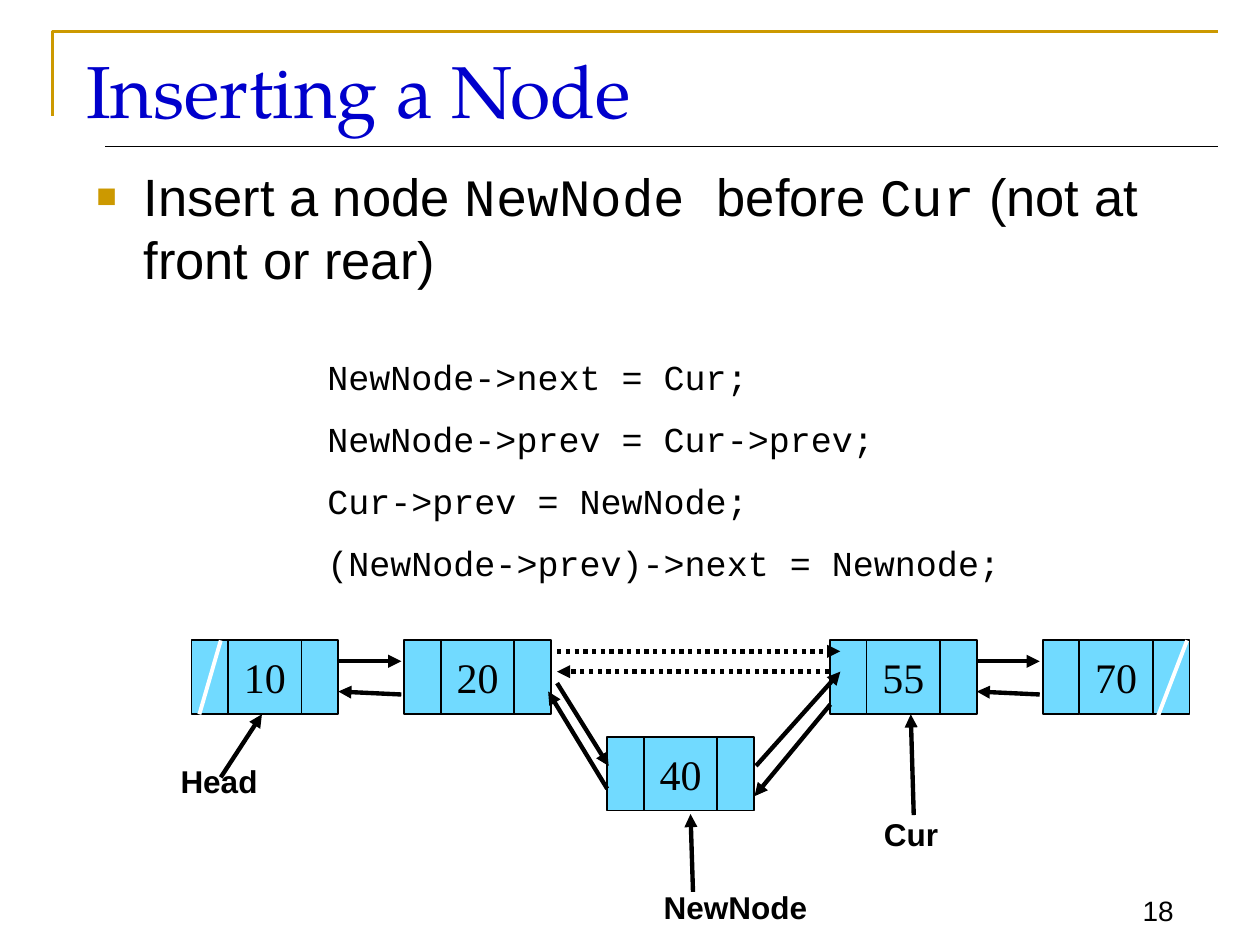
from dataclasses import dataclass

from lxml.etree import SubElement
from pptx import Presentation
from pptx.dml.color import RGBColor
from pptx.enum.dml import MSO_LINE
from pptx.enum.shapes import MSO_CONNECTOR, MSO_SHAPE
from pptx.enum.text import MSO_ANCHOR, MSO_AUTO_SIZE, PP_ALIGN
from pptx.oxml.ns import qn
from pptx.util import Cm, Pt


@dataclass(frozen=True)
class Theme:
    ink: str = "000000"
    title: str = "0000CC"
    accent: str = "CC9900"
    node: str = "71DAFF"
    slash: str = "FFFFFF"
    sans: str = "Arial"
    serif: str = "Times New Roman"
    display: str = "TeX Gyre Pagella"
    mono: str = "Courier New"
    title_size: float = 42
    body_size: float = 30
    value_size: float = 24
    code_size: float = 20
    label_size: float = 18
    number_size: float = 16


def add_span(para, text, *, font, size, color, bold=False):
    span = para.add_run()
    span.text = text
    span.font.name = font
    span.font.size = Pt(size)
    span.font.bold = bold
    span.font.color.rgb = RGBColor.from_string(color)


class SlideBuilder:
    def __init__(self, slide, theme):
        self.slide = slide
        self.shapes = slide.shapes
        self.theme = theme

    def place(self, box, left, top, width, height, anchor, wrap=True):
        box.left, box.top, box.width, box.height = map(Cm, (left, top, width, height))
        frame = box.text_frame
        frame.auto_size = MSO_AUTO_SIZE.NONE
        frame.word_wrap = wrap
        frame.vertical_anchor = anchor
        return frame

    def title(self, text, *area):
        frame = self.place(self.shapes.title, *area, MSO_ANCHOR.MIDDLE)
        para = frame.paragraphs[0]
        para.alignment = PP_ALIGN.LEFT
        add_span(para, text, font=self.theme.display,
                 size=self.theme.title_size, color=self.theme.title)

    def bullet(self, spans, *area):
        frame = self.place(self.slide.placeholders[1], *area, MSO_ANCHOR.TOP)
        para = frame.paragraphs[0]
        para.space_before = Pt(self.theme.body_size * 0.2)
        for text, font in spans:
            add_span(para, text, font=font,
                     size=self.theme.body_size, color=self.theme.ink)
        properties = para._p.get_or_add_pPr()
        properties.set("marL", str(Cm(0.95)))
        properties.set("indent", str(-Cm(0.95)))
        color = SubElement(properties, qn("a:buClr"))
        SubElement(color, qn("a:srgbClr")).set("val", self.theme.accent)
        SubElement(properties, qn("a:buSzPct")).set("val", "65000")
        SubElement(properties, qn("a:buFont")).set("typeface", self.theme.sans)
        SubElement(properties, qn("a:buChar")).set("char", "■")

    def text(self, lines, *area, font, size, bold=False, gap=0, wrap=True,
             align=PP_ALIGN.LEFT, anchor=MSO_ANCHOR.MIDDLE):
        box = self.shapes.add_textbox(0, 0, 0, 0)
        frame = self.place(box, *area, anchor, wrap)
        for index, line in enumerate(lines):
            para = frame.add_paragraph() if index else frame.paragraphs[0]
            para.alignment = align
            para.space_before = Pt(gap if index else 0)
            add_span(para, line, font=font, size=size,
                     color=self.theme.ink, bold=bold)

    def node(self, value, left, top, side):
        group = self.shapes.add_group_shape()
        half = side / 2
        cells = ((half, side, value), (0, half, ""), (half + side, half, ""))
        for offset, width, text in cells:
            cell = group.shapes.add_shape(
                MSO_SHAPE.RECTANGLE, Cm(left + offset), Cm(top), Cm(width), Cm(side))
            cell.shadow.inherit = False
            cell.fill.solid()
            cell.fill.fore_color.rgb = RGBColor.from_string(self.theme.node)
            cell.line.color.rgb = RGBColor.from_string(self.theme.ink)
            cell.line.width = Pt(1)
            if text:
                frame = cell.text_frame
                frame.word_wrap = False
                frame.vertical_anchor = MSO_ANCHOR.MIDDLE
                para = frame.paragraphs[0]
                para.alignment = PP_ALIGN.CENTER
                add_span(para, text, font=self.theme.serif,
                         size=self.theme.value_size, color=self.theme.ink)

    def line(self, start, end, color, width):
        line = self.shapes.add_connector(
            MSO_CONNECTOR.STRAIGHT, *map(Cm, (*start, *end)))
        line.line.color.rgb = RGBColor.from_string(color)
        line.line.width = Pt(width)
        SubElement(line._element.spPr, qn("a:effectLst"))
        return line

    def arrow(self, start, end, dotted=False):
        arrow = self.line(start, end, self.theme.ink, 2.5)
        if dotted:
            arrow.line.dash_style = MSO_LINE.ROUND_DOT
        SubElement(arrow.line._get_or_add_ln(), qn("a:tailEnd")).set("type", "triangle")

    def corner(self, points):
        first, *rest = [(Cm(x), Cm(y)) for x, y in points]
        builder = self.shapes.build_freeform(*first)
        builder.add_line_segments(rest, close=False)
        frame = builder.convert_to_shape()
        frame.shadow.inherit = False
        frame.fill.background()
        frame.line.color.rgb = RGBColor.from_string(self.theme.accent)
        frame.line.width = Pt(1.5)


deck = Presentation()
deck.slide_width, deck.slide_height = Cm(25.4), Cm(19.05)
theme = Theme()
page = SlideBuilder(deck.slides.add_slide(deck.slide_layouts[1]), theme)

# Page frame and number
page.corner([(1.06, 2.33), (1.06, 0.64), (24.55, 0.64)])
page.line((2.12, 2.96), (24.55, 2.96), theme.ink, 0.75)
page.text(["18"], 22.23, 17.57, 1.68, 1.25, font=theme.sans, size=theme.number_size,
          align=PP_ALIGN.RIGHT, anchor=MSO_ANCHOR.BOTTOM)

# Title and task
page.title("Inserting a Node", 1.48, 0.85, 23.07, 1.9)
page.bullet([("Insert a node ", theme.sans), ("NewNode ", theme.mono),
             ("before ", theme.sans), ("Cur", theme.mono),
             (" (not at front or rear)", theme.sans)], 1.69, 3.18, 21.8, 12.91)

# Code
page.text(["NewNode->next = Cur;", "NewNode->prev = Cur->prev;",
           "Cur->prev = NewNode;", "(NewNode->prev)->next = Newnode;"],
          6.35, 6.99, 14.18, 4.95, font=theme.mono, size=theme.code_size, gap=11.3)

# List nodes: four on a five-column grid, the new one below the gap
side, list_left, list_top, step = 1.48, 3.86, 12.91, 4.29
for column, value in ((0, "10"), (1, "20"), (3, "55"), (4, "70")):
    page.node(value, list_left + column * step, list_top, side)
page.node("40", 12.24, 14.86, side)

# Links between neighbours
for column in (0, 3):
    right = list_left + column * step + 2 * side
    page.arrow((right, 13.33), (right + 1.27, 13.33))
    page.arrow((right + 1.27, 14), (right, 13.94))

# Links to the new node, and pointers from the labels
for start, end in (
    ((11.23, 13.77), (12.27, 15.44)),
    ((12.24, 15.9), (11.05, 13.94)),
    ((15.24, 15.44), (16.94, 13.54)),
    ((16.74, 14.2), (15.21, 16.05)),
    ((4.45, 15.67), (5.28, 14.4)),
    ((13.97, 17.98), (13.92, 16.41)),
    ((18.42, 16.43), (18.36, 14.4)),
):
    page.arrow(start, end)

# Former links
page.arrow((11.23, 13.13), (16.94, 13.13), dotted=True)
page.arrow((16.71, 13.54), (11.23, 13.54), dotted=True)

# Null links at both ends
page.line((4.45, 12.91), (4.02, 14.4), theme.slash, 2.25)
page.line((23.93, 12.91), (23.28, 14.6), theme.slash, 2.25)

# Labels
for label, left, top, width in (("Head", 3.39, 15.24, 2.06),
                                ("NewNode", 13.13, 17.78, 4.02),
                                ("Cur", 17.57, 16.3, 1.6)):
    page.text([label], left, top, width, 1.02, font=theme.sans,
              size=theme.label_size, bold=True, wrap=label == "NewNode")

deck.save("out.pptx")
